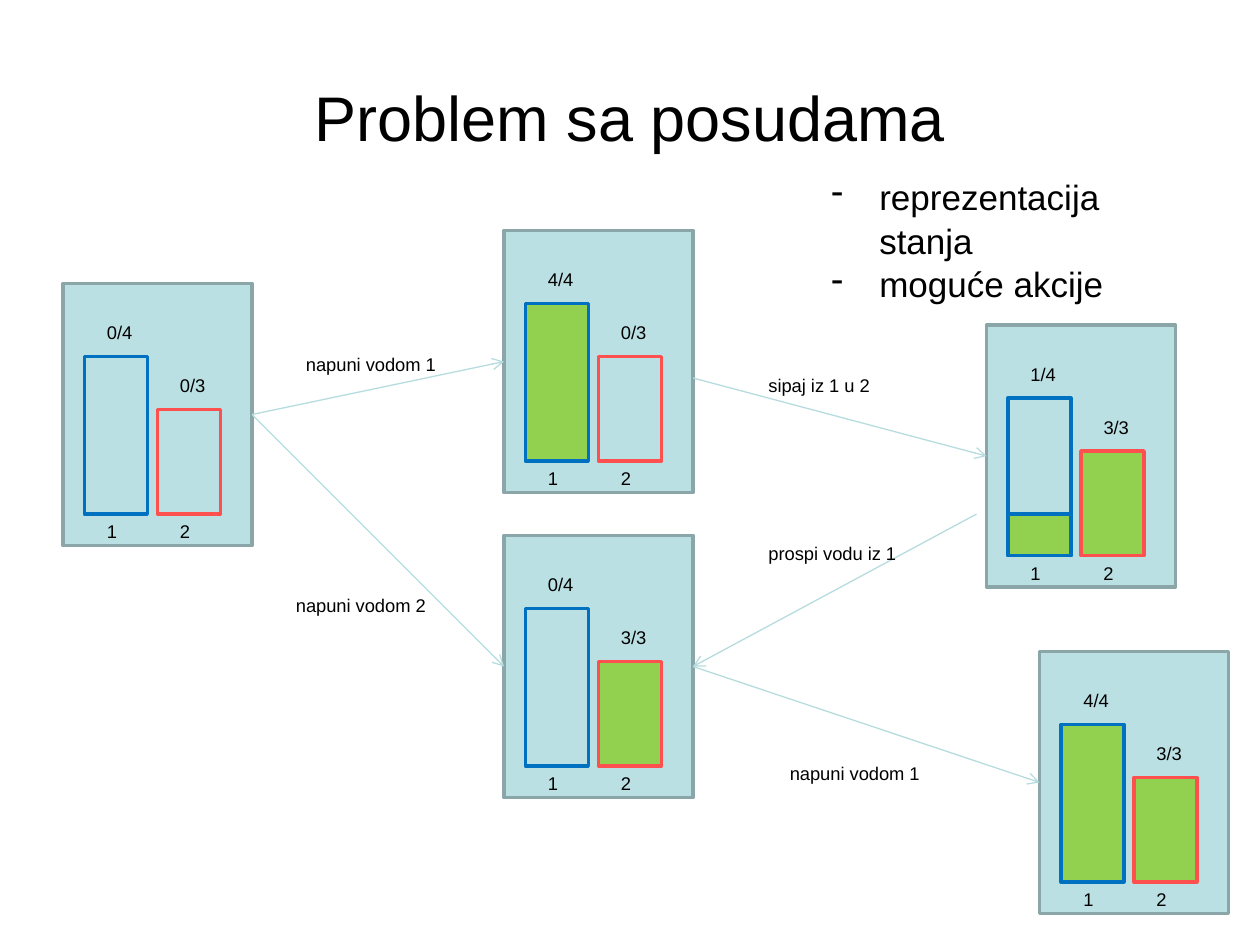
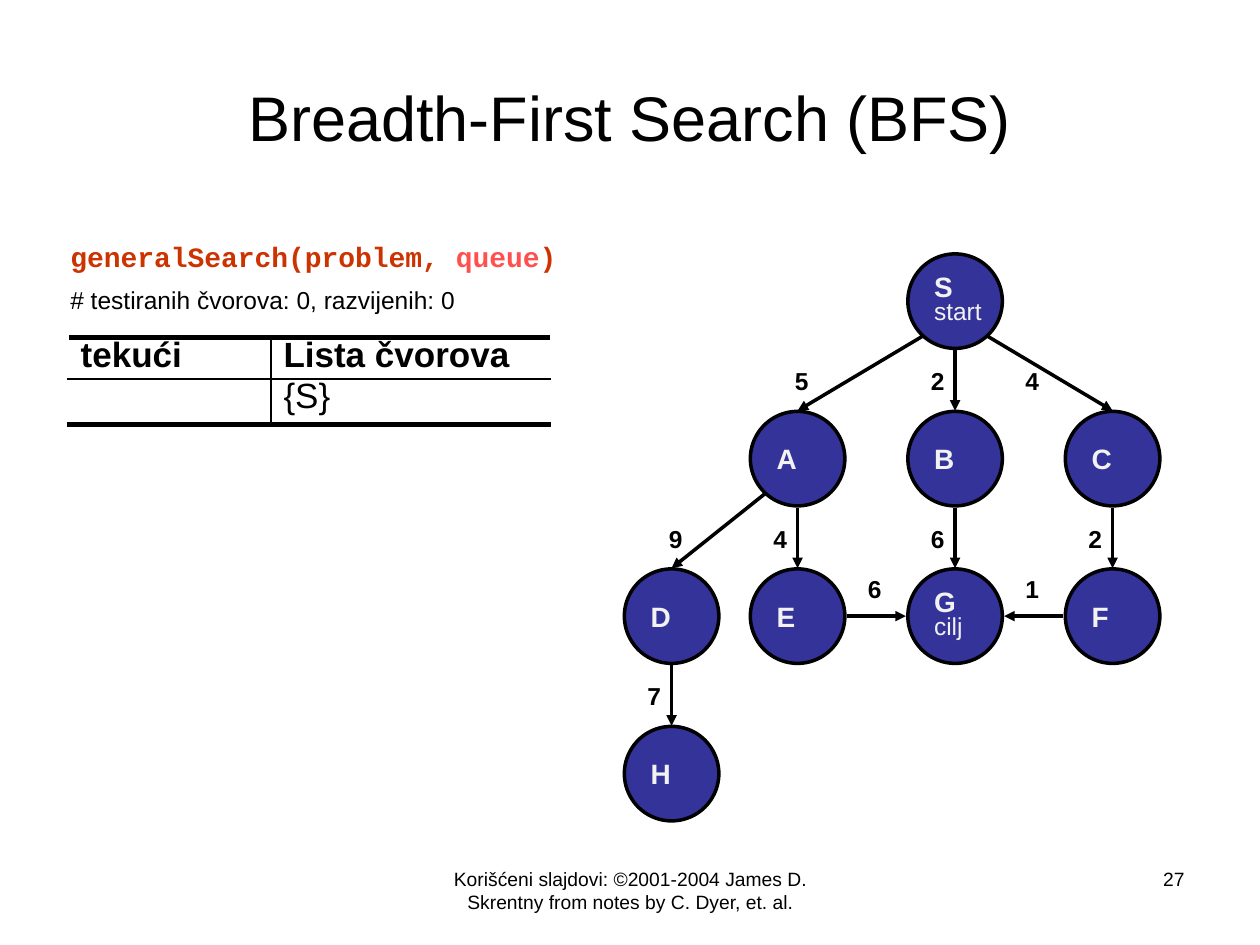
import pptx
import pptx.util
import pptx.dml.color
import pptx.enum.shapes
import pptx.enum.text
import pptx.oxml
import pptx.oxml.ns
import lxml.etree

Inches = pptx.util.Inches
Pt = pptx.util.Pt
Shape = pptx.enum.shapes.MSO_SHAPE
Align = pptx.enum.text.PP_ALIGN
Anchor = pptx.enum.text.MSO_ANCHOR
qn = pptx.oxml.ns.qn

BLACK = "000000"
PALE = "BBE0E3"
FRAME = "8AA6A8"
ARROW = "B6DCDF"
WATER = "92D050"
BLUE = "0070C0"
RED = "FF5050"
NAVY = "333399"
LIGHT = "F2F2F2"
RUST = "CC3300"


def color(text):
    return pptx.dml.color.RGBColor.from_string(text)


def add_tag(parent, tag, **attrs):
    return lxml.etree.SubElement(parent, qn(tag), attrs)


class Deck:
    font = "Arial"

    def __init__(self):
        self.prs = pptx.Presentation()
        self.prs.slide_width = Inches(10)
        self.prs.slide_height = Inches(7.5)
        self.slide = None

    def start(self, title):
        self.slide = self.prs.slides.add_slide(self.prs.slide_layouts[5])
        head = self.slide.shapes.title
        head.left, head.top = Inches(0.5), Inches(0.3)
        head.width, head.height = Inches(9), Inches(1.25)
        head.text_frame.auto_size = pptx.enum.text.MSO_AUTO_SIZE.NONE
        head.text_frame.vertical_anchor = Anchor.MIDDLE
        self.fill_text(head.text_frame, title, 36, align=Align.CENTER)

    def style(self, run, size, tint=BLACK, bold=False, font=None):
        run.font.name = font or self.font
        run.font.size = Pt(size)
        run.font.bold = bold
        run.font.color.rgb = color(tint)

    def fill_text(self, frame, text, size, tint=BLACK, bold=False, align=Align.LEFT):
        frame.text = text
        for para in frame.paragraphs:
            para.alignment = align
            for run in para.runs:
                self.style(run, size, tint, bold)

    def label(self, left, top, width, height, text, size=10.5, bold=False,
              align=Align.LEFT, wrap=False):
        box = self.slide.shapes.add_textbox(
            Inches(left), Inches(top), Inches(width), Inches(height))
        box.text_frame.word_wrap = wrap
        self.fill_text(box.text_frame, text, size, bold=bold, align=align)
        return box.text_frame

    def shape(self, kind, left, top, width, height, fill, line):
        item = self.slide.shapes.add_shape(
            kind, Inches(left), Inches(top), Inches(width), Inches(height))
        item.shadow.inherit = False
        item.fill.solid()
        item.fill.fore_color.rgb = color(fill)
        item.line.color.rgb = color(line)
        item.line.width = Pt(2)
        return item

    def arrow(self, start, end, tint, width, head):
        link = self.slide.shapes.add_connector(
            pptx.enum.shapes.MSO_CONNECTOR.STRAIGHT,
            *[Inches(value) for value in (*start, *end)])
        link.line.color.rgb = color(tint)
        link.line.width = Pt(width)
        props = link._element.spPr
        add_tag(props.find(qn("a:ln")), "a:tailEnd", type=head)
        add_tag(props, "a:effectLst")
        return link

    def bullets(self, left, top, width, height, lines, size):
        frame = self.label(left, top, width, height, "\n".join(lines), size, wrap=True)
        for para in frame.paragraphs:
            para.line_spacing = 1.04
            props = para._p.get_or_add_pPr()
            props.set("marL", str(Inches(0.38)))
            props.set("indent", str(-Inches(0.38)))
            add_tag(props, "a:buChar", char="-")

    def jug(self, left, base, height, size, level, line, name):
        top = base - height
        fill = WATER if level == size else PALE
        self.shape(Shape.RECTANGLE, left, top, 0.5, height, fill, line)
        if 0 < level < size:
            part = 0.33 * level
            self.shape(Shape.RECTANGLE, left, base - part, 0.5, part, WATER, line)
        self.label(left + 0.08, top - 0.33, 0.42, 0.28, f"{level}/{size}")
        self.label(left + 0.08, base, 0.34, 0.29, name)

    def state(self, left, top, first, second):
        frame = self.shape(Shape.RECTANGLE, left, top, 1.5, 2.08, PALE, FRAME)
        base = top + 1.83
        self.jug(left + 0.17, base, 1.25, 4, first, BLUE, "1")
        self.jug(left + 0.75, base, 0.83, 3, second, RED, "2")
        return frame

    def node(self, mid, text):
        item = self.shape(Shape.OVAL, mid[0] - 0.375, mid[1] - 0.375,
                          0.75, 0.75, NAVY, BLACK)
        frame = item.text_frame
        frame.word_wrap = False
        frame.vertical_anchor = Anchor.MIDDLE
        self.fill_text(frame, text, 16, LIGHT, True)
        for para in frame.paragraphs[1:]:
            self.style(para.runs[0], 14, LIGHT)
        if len(frame.paragraphs) > 1:
            for para in frame.paragraphs:
                para.line_spacing = 0.75

    def edge(self, start, end, text, left):
        (ax, ay), (bx, by) = start, end
        side = (bx > ax) - (bx < ax)
        if ay == by:
            ends = (ax + 0.39 * side, ay), (bx - 0.39 * side, by)
            top = ay - 0.38
        else:
            drop = 0.28 if side else 0.39
            ends = (ax + 0.26 * side, ay + drop), (bx, by - 0.38)
            top = ay + 0.47
        self.arrow(*ends, BLACK, 2, "triangle")
        self.label(left, top, 0.31, 0.34, text, 14, True)

    def border(self, cell, sides):
        props = cell._tc.get_or_add_tcPr()
        for spot, (side, width) in enumerate(sides):
            line = add_tag(props, "a:ln" + side, w=str(Pt(width)))
            add_tag(add_tag(line, "a:solidFill"), "a:srgbClr", val=BLACK)
            props.insert(spot, line)

    def table(self, left, top, widths, heights, rows):
        grid = self.slide.shapes.add_table(
            len(rows), len(widths), Inches(left), Inches(top),
            Inches(sum(widths)), Inches(sum(heights))).table
        grid.first_row = grid.horz_banding = False
        for col, width in zip(grid.columns, widths):
            col.width = Inches(width)
        for r, row in enumerate(rows):
            grid.rows[r].height = Inches(heights[r])
            for c, text in enumerate(row):
                cell = grid.cell(r, c)
                cell.fill.background()
                cell.margin_left, cell.margin_top = Inches(0.1), Inches(0.01)
                cell.margin_right = cell.margin_bottom = Inches(0.02)
                self.fill_text(cell.text_frame, text, 20, bold=r == 0)
                para = cell.text_frame.paragraphs[0]
                para.line_spacing = 0.9
                para.space_before = Pt(2)
                inner = "R" if c == 0 else "L"
                self.border(cell, [(inner, 1), ("T", 1 if r else 3),
                                   ("B", 3 if r else 1)])


def build_jugs(deck):
    deck.start("Problem sa posudama")
    deck.bullets(6.5, 1.33, 3.08, 1.42, ["reprezentacija stanja", "moguće akcije"], 20)
    empty = deck.state(0.5, 2.25, 0, 0)
    left = deck.state(4, 1.83, 4, 0)
    right = deck.state(4, 4.25, 0, 3)
    both = deck.state(8.25, 5.17, 4, 3)
    pour = deck.state(7.83, 2.58, 1, 3)
    moves = [
        ((2, 3.29), (4, 2.88), empty, left, 1, "napuni vodom 1", 2.33, 2.75),
        ((2, 3.29), (4, 5.29), empty, right, 1, "napuni vodom 2", 2.25, 4.67),
        ((5.5, 5.29), (8.25, 6.21), right, both, 1, "napuni vodom 1", 6.17, 6),
        ((5.5, 3), (7.83, 3.62), None, pour, 1, "sipaj iz 1 u 2", 6, 2.92),
        ((7.75, 4.08), (5.5, 5.29), None, right, 3, "prospi vodu iz 1", 6, 4.25),
    ]
    for start, end, source, target, side, text, x, y in moves:
        link = deck.arrow(start, end, ARROW, 0.75, "arrow")
        if source:
            link.begin_connect(source, 3)
        link.end_connect(target, side)
        deck.label(x, y, 1.25, 0.28, text)


def build_search(deck):
    deck.start("Breadth-First Search (BFS)")
    deck.label(3.42, 6.83, 3.17, 0.52,
               "Korišćeni slajdovi: ©2001-2004 James D. Skrentny from notes by C. Dyer, et. al.",
               11, align=Align.CENTER, wrap=True)
    deck.label(7.17, 6.83, 2.33, 0.52, "27", 11, align=Align.RIGHT, wrap=True)
    code = deck.label(0.46, 1.85, 4.12, 0.37, "generalSearch(problem, ").paragraphs[0]
    for text in ("queue", ")"):
        code.add_run().text = text
    for run, tint in zip(code.runs, (RUST, RED, RUST)):
        deck.style(run, 16, tint, True, "Courier New")
    deck.label(0.46, 2.21, 3.27, 0.34, "# testiranih čvorova: 0, razvijenih: 0", 14)
    deck.table(0.54, 2.68, [1.61, 2.22], [0.33, 0.36],
               [["tekući", "Lista čvorova"], ["", "{S}"]])

    cols = [5.33, 6.33, 7.58, 8.83]
    spots = {"S": (2, 0), "A": (1, 1), "B": (2, 1), "C": (3, 1), "D": (0, 2),
             "E": (1, 2), "G": (2, 2), "F": (3, 2), "H": (0, 3)}
    mids = {name: (cols[c], 2.39 + 1.25 * r) for name, (c, r) in spots.items()}
    notes = {"S": "S\nstart", "G": "G\ncilj"}
    for name, mid in mids.items():
        deck.node(mid, notes.get(name, name))
    edges = [("SA", "5", 6.21), ("SB", "2", 7.29), ("SC", "4", 8.04),
             ("AD", "9", 5.21), ("AE", "4", 6.04), ("BG", "6", 7.29),
             ("CF", "2", 8.54), ("EG", "6", 6.79), ("FG", "1", 8.04),
             ("DH", "7", 5.04)]
    for (start, end), cost, left in edges:
        deck.edge(mids[start], mids[end], cost, left)


def main():
    deck = Deck()
    build_jugs(deck)
    build_search(deck)
    deck.prs.save("out.pptx")


if __name__ == "__main__":
    main()
